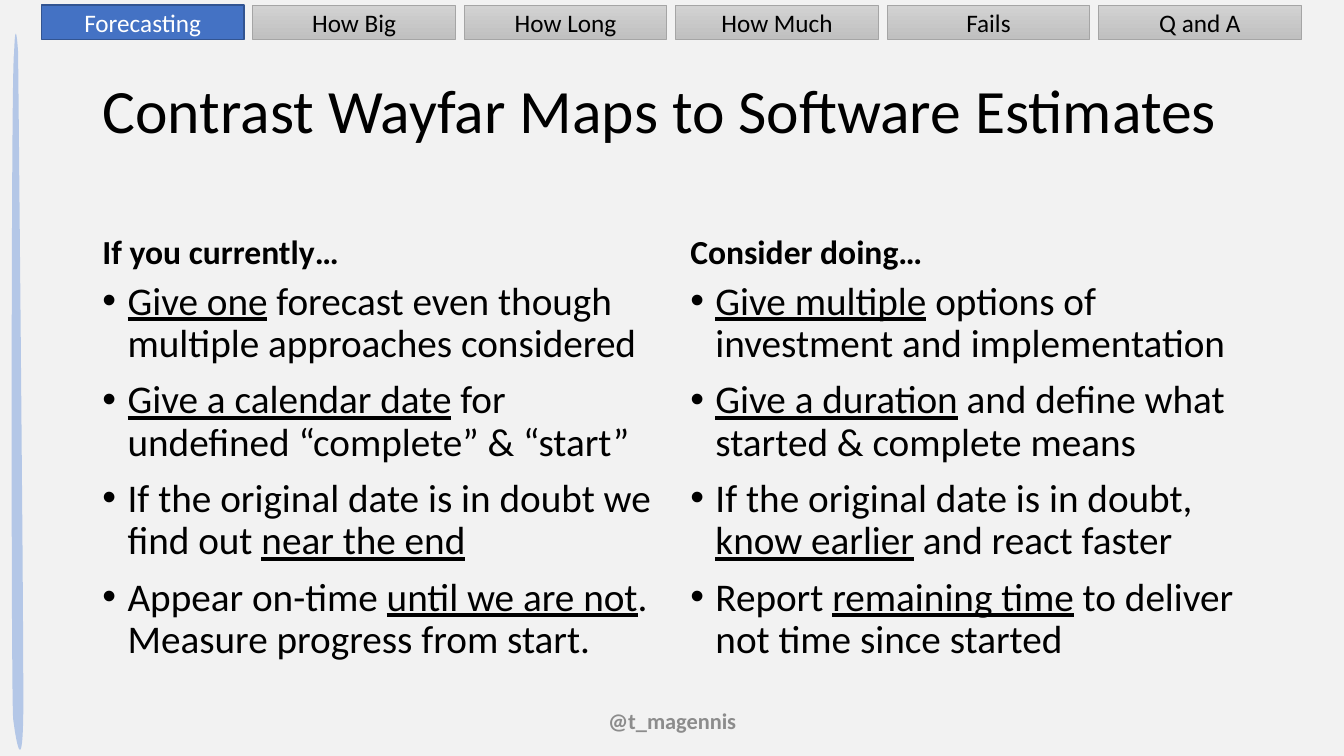
from dataclasses import dataclass

from lxml.etree import SubElement
from pptx import Presentation
from pptx.dml.color import RGBColor
from pptx.enum.shapes import MSO_SHAPE
from pptx.enum.text import MSO_ANCHOR, MSO_AUTO_SIZE, PP_ALIGN
from pptx.oxml.ns import qn
from pptx.slide import Slide
from pptx.text.text import TextFrame, _Paragraph
from pptx.util import Pt

BACKGROUND = RGBColor(0xF2, 0xF2, 0xF2)
BLACK = RGBColor(0, 0, 0)
WHITE = RGBColor(0xFF, 0xFF, 0xFF)
HANDLE_GRAY = RGBColor(0x8C, 0x8C, 0x8C)
STROKE_BLUE = RGBColor(0xB4, 0xC7, 0xE7)
ACTIVE_FILL = RGBColor(0x44, 0x72, 0xC4)
ACTIVE_LINE = RGBColor(0x32, 0x54, 0x91)
TAB_TOP = RGBColor(0xD2, 0xD2, 0xD2)
TAB_BOTTOM = RGBColor(0xC0, 0xC0, 0xC0)
TAB_LINE = RGBColor(0xA5, 0xA5, 0xA5)

FONT = "Calibri"
TAB_LEFT, TAB_PITCH = 29.5, 151.05
CURVE_STEPS = 24
UNITS_PER_POINT = 100

Point = tuple[float, float]


@dataclass(frozen=True)
class Curve:
    first_handle: Point
    second_handle: Point
    end: Point


@dataclass(frozen=True)
class Column:
    left: float
    width: float
    heading: str
    points: tuple[str, ...]


@dataclass(frozen=True)
class Tab:
    label: str
    active: bool = False


STROKE_START: Point = (10.1, 38.2)
STROKE_CURVES = (
    Curve((7.9, 38.2), (7.9, 496.1), (9.4, 513.4)),
    Curve((11.5, 529.9), (15.8, 553.7), (16.6, 513.4)),
    Curve((17.3, 473), (13, 51.8), (13, 38.2)),
    Curve((12.2, 25.2), (10.8, 14.4), STROKE_START),
)

COLUMNS = (
    Column(66.1, 406.1, "If you currently…", (
        "_Give one_ forecast even though multiple approaches considered",
        "_Give a calendar date_ for undefined “complete” & “start”",
        "If the original date is in doubt we find out _near the end_",
        "Appear on-time _until we are not_. Measure progress from start.",
    )),
    Column(486, 408.2, "Consider doing…", (
        "_Give multiple_ options of investment and implementation",
        "_Give a duration_ and define what started & complete means",
        "If the original date is in doubt, _know earlier_ and react faster",
        "Report _remaining time_ to deliver not time since started",
    )),
)

TABS = (
    Tab("Forecasting", active=True),
    Tab("How Big"),
    Tab("How Long"),
    Tab("How Much"),
    Tab("Fails"),
    Tab("Q and A"),
)


def style(para: _Paragraph, size: float, color: RGBColor = BLACK, bold: bool = False) -> None:
    para.font.name = FONT
    para.font.size = Pt(size)
    para.font.bold = bold
    para.font.color.rgb = color


def add_box(page: Slide, left: float, top: float, width: float, height: float,
            anchor: MSO_ANCHOR) -> TextFrame:
    frame = page.shapes.add_textbox(Pt(left), Pt(top), Pt(width), Pt(height)).text_frame
    frame.word_wrap = True
    frame.vertical_anchor = anchor
    return frame


def add_bullet(para: _Paragraph) -> None:
    properties = para._p.get_or_add_pPr()
    properties.set("marL", str(Pt(18)))
    properties.set("indent", str(-Pt(18)))
    SubElement(properties, qn("a:buFont")).set("typeface", "Arial")
    SubElement(properties, qn("a:buChar")).set("char", "•")


def add_marked_text(para: _Paragraph, text: str) -> None:
    for index, piece in enumerate(text.split("_")):
        if piece:
            span = para.add_run()
            span.text = piece
            span.font.underline = index % 2 == 1


def add_stroke(page: Slide) -> None:
    vertices: list[Point] = []
    start = STROKE_START
    for curve in STROKE_CURVES:
        handles = (start, curve.first_handle, curve.second_handle, curve.end)
        for step in range(1, CURVE_STEPS + 1):
            t = step / CURVE_STEPS
            weights = ((1 - t) ** 3, 3 * t * (1 - t) ** 2, 3 * t ** 2 * (1 - t), t ** 3)
            x, y = (
                sum(weight * handle[axis] for weight, handle in zip(weights, handles))
                for axis in (0, 1)
            )
            vertices.append((x * UNITS_PER_POINT, y * UNITS_PER_POINT))
        start = curve.end
    builder = page.shapes.build_freeform(
        STROKE_START[0] * UNITS_PER_POINT, STROKE_START[1] * UNITS_PER_POINT,
        scale=Pt(1) / UNITS_PER_POINT,
    )
    builder.add_line_segments(vertices, close=True)
    stroke = builder.convert_to_shape()
    stroke.shadow.inherit = False
    stroke.fill.solid()
    stroke.fill.fore_color.rgb = STROKE_BLUE
    stroke.line.fill.background()


def set_title(page: Slide, text: str) -> None:
    title = page.shapes.title
    title.left, title.top, title.width, title.height = Pt(66.1), Pt(28.8), Pt(828), Pt(104.4)
    frame = title.text_frame
    frame.auto_size = MSO_AUTO_SIZE.NONE
    frame.vertical_anchor = MSO_ANCHOR.MIDDLE
    frame.text = text
    para = frame.paragraphs[0]
    para.alignment = PP_ALIGN.LEFT
    para.line_spacing = 0.9
    style(para, 44)


def add_column(page: Slide, column: Column) -> None:
    heading = add_box(page, column.left, 132.4, column.width, 64.9, MSO_ANCHOR.BOTTOM)
    heading.text = column.heading
    heading.paragraphs[0].line_spacing = 0.9
    style(heading.paragraphs[0], 24, bold=True)

    body = add_box(page, column.left, 197.3, column.width, 290.1, MSO_ANCHOR.TOP)
    for index, point in enumerate(column.points):
        para = body.add_paragraph() if index else body.paragraphs[0]
        add_bullet(para)
        para.line_spacing = 0.9
        if index:
            para.space_before = Pt(10)
        style(para, 28)
        add_marked_text(para, point)


def add_handle(page: Slide, text: str) -> None:
    frame = add_box(page, 318.2, 500.5, 324, 28.8, MSO_ANCHOR.MIDDLE)
    frame.text = text
    frame.paragraphs[0].alignment = PP_ALIGN.CENTER
    style(frame.paragraphs[0], 16, HANDLE_GRAY, bold=True)


def add_tab(page: Slide, index: int, tab: Tab) -> None:
    shape = page.shapes.add_shape(
        MSO_SHAPE.FLOWCHART_PROCESS,
        Pt(TAB_LEFT + index * TAB_PITCH), Pt(3.6), Pt(144.7), Pt(24.5),
    )
    shape.shadow.inherit = False
    if tab.active:
        shape.fill.solid()
        shape.fill.fore_color.rgb = ACTIVE_FILL
    else:
        shape.fill.gradient()
        shape.fill.gradient_angle = 270
        for stop, color in zip(shape.fill.gradient_stops, (TAB_TOP, TAB_BOTTOM)):
            stop.color.rgb = color
    shape.line.color.rgb = ACTIVE_LINE if tab.active else TAB_LINE
    shape.line.width = Pt(1 if tab.active else 0.5)
    frame = shape.text_frame
    frame.vertical_anchor = MSO_ANCHOR.MIDDLE
    frame.text = tab.label
    frame.paragraphs[0].alignment = PP_ALIGN.CENTER
    style(frame.paragraphs[0], 18, WHITE if tab.active else BLACK)


def main() -> None:
    deck = Presentation()
    deck.slide_width, deck.slide_height = Pt(960), Pt(540)
    page = deck.slides.add_slide(deck.slide_layouts.get_by_name("Title Only"))
    page.background.fill.solid()
    page.background.fill.fore_color.rgb = BACKGROUND
    add_stroke(page)
    set_title(page, "Contrast Wayfar Maps to Software Estimates")
    for column in COLUMNS:
        add_column(page, column)
    add_handle(page, "@t_magennis")
    for index, tab in enumerate(TABS):
        add_tab(page, index, tab)
    deck.save("out.pptx")


if __name__ == "__main__":
    main()
